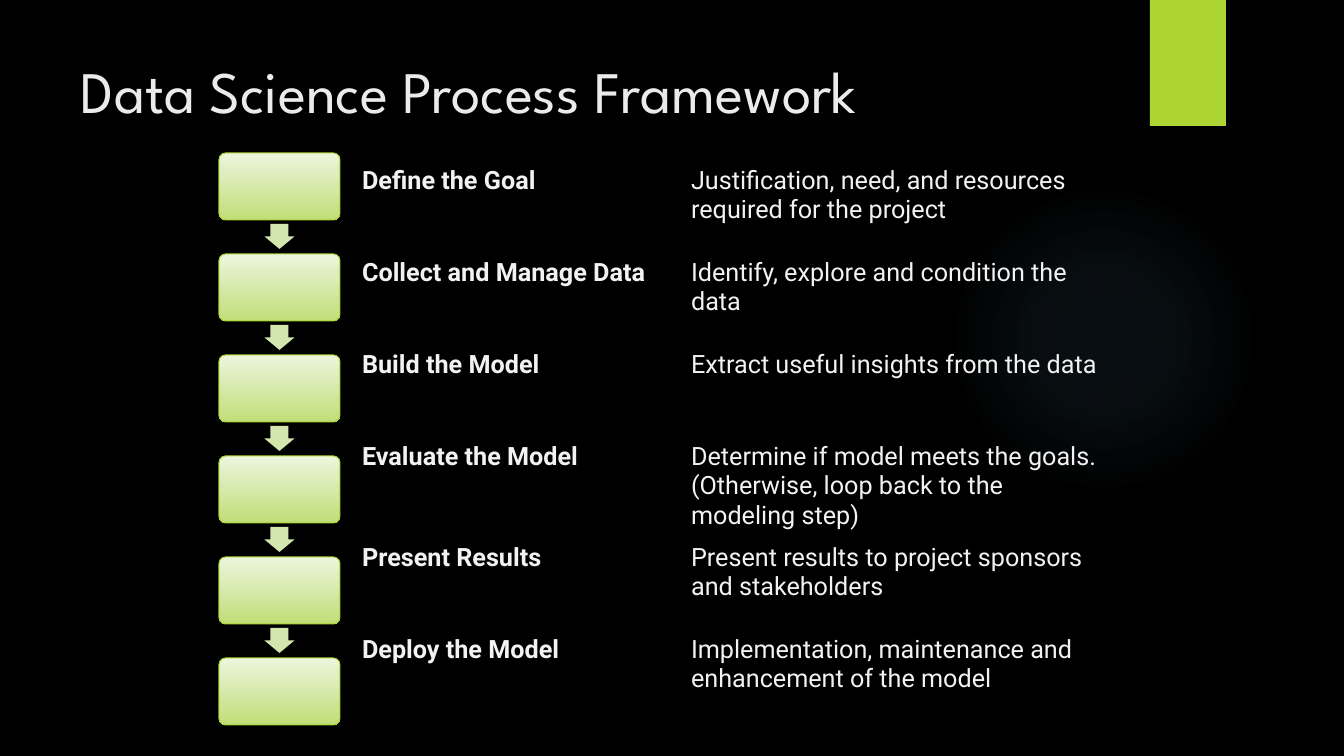
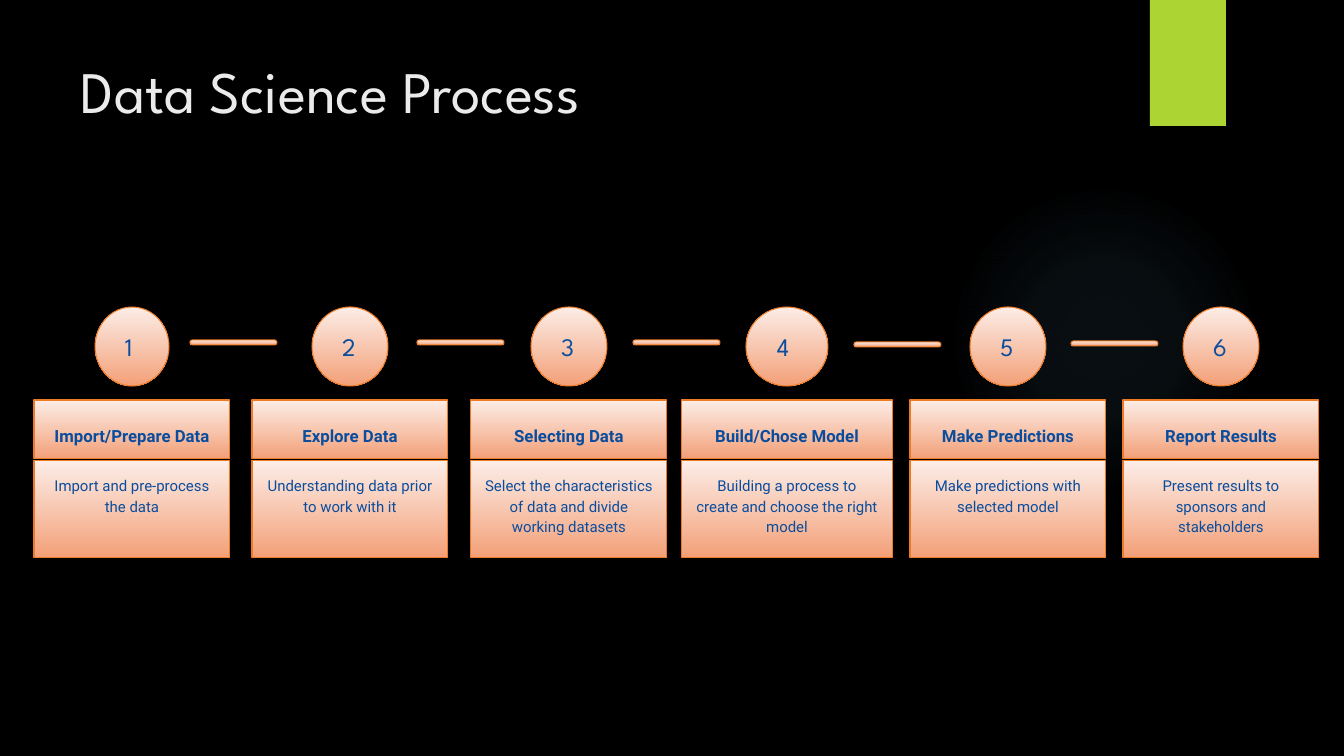
from collections import namedtuple

from lxml import etree
from pptx import Presentation
from pptx import util as u
from pptx.dml.color import RGBColor
from pptx.enum import shapes, text
from pptx.oxml import parse_xml
from pptx.oxml.ns import nsdecls, qn

SLIDE_WIDTH, SLIDE_HEIGHT = 1344, 756
EMU_PER_PX = 12192000 / SLIDE_WIDTH

BLACK = RGBColor(0x00, 0x00, 0x00)
LIME = RGBColor(0xAC, 0xD4, 0x33)
LIME_PALE = RGBColor(0xED, 0xF5, 0xDD)
LIME_SOFT = RGBColor(0xC0, 0xDE, 0x78)
LIME_ARROW = RGBColor(0xD2, 0xE6, 0xAE)
ORANGE = RGBColor(0xEF, 0x7A, 0x24)
ORANGE_PALE = RGBColor(0xFC, 0xED, 0xE7)
ORANGE_SOFT = RGBColor(0xF3, 0xA0, 0x78)
NAVY = RGBColor(0x0A, 0x4D, 0x9E)
TITLE_GREY = RGBColor(0xEB, 0xEB, 0xEB)
TABLE_GREY = RGBColor(0xF2, 0xF2, 0xF2)
GLOW_BLUE = RGBColor(0x7A, 0xC4, 0xF0)

HEADING_FONT = "League Spartan"
BODY_FONT = "Roboto"
NO_STYLE_NO_GRID = "{2D5ABB26-0587-4C30-8999-92F81FD0307C}"

Theme = namedtuple("Theme", "pale soft line")
GREEN_THEME = Theme(LIME_PALE, LIME_SOFT, LIME)
ORANGE_THEME = Theme(ORANGE_PALE, ORANGE_SOFT, ORANGE)

Step = namedtuple("Step", "centre card_width circle_width name detail")
STEPS = [
    Step(132, 196, 74, "Import/Prepare Data", "Import and pre-process the data"),
    Step(350, 196, 76, "Explore Data", "Understanding data prior to work with it"),
    Step(569, 196, 76, "Selecting Data",
         "Select the characteristics of data and divide working datasets"),
    Step(787, 211, 82, "Build/Chose Model",
         "Building a process to\ncreate and choose the right model"),
    Step(1008, 196, 76, "Make Predictions", "Make predictions with selected model"),
    Step(1221, 196, 76, "Report Results", "Present results to sponsors and stakeholders"),
]
LINKS = [(190, 340), (417, 340), (633, 340), (854, 342), (1071, 341)]

FRAMEWORK = [
    ("Define the Goal", "Justification, need, and resources required for the project"),
    ("Collect and Manage Data", "Identify, explore and condition the data"),
    ("Build the Model", "Extract useful insights from the data"),
    ("Evaluate the Model",
     "Determine if model meets the goals. (Otherwise, loop back to the modeling step)"),
    ("Present Results", "Present results to project sponsors and stakeholders"),
    ("Deploy the Model", "Implementation, maintenance and enhancement of the model"),
]
ROW_HEIGHTS = [92, 92, 92, 99, 92, 92]


def px(length):
    return u.Emu(round(length * EMU_PER_PX))


def write(frame, content, font, size, color, bold=False, align=text.PP_ALIGN.LEFT, spacing=None):
    frame.word_wrap = True
    paragraph = frame.paragraphs[0]
    paragraph.alignment = align
    if spacing:
        paragraph.line_spacing = spacing
    for index, line in enumerate(content.split("\n")):
        if index:
            paragraph.add_line_break()
        run = paragraph.add_run()
        run.text = line
        run.font.name = font
        run.font.size = u.Pt(size)
        run.font.bold = bold
        run.font.color.rgb = color


def add_flat(slide, kind, left, top, width, height, color):
    shape = slide.shapes.add_shape(kind, px(left), px(top), px(width), px(height))
    shape.shadow.inherit = False
    shape.fill.solid()
    shape.fill.fore_color.rgb = color
    shape.line.fill.background()
    return shape


def add_gradient(slide, kind, left, top, width, height, theme):
    shape = add_flat(slide, kind, left, top, width, height, theme.pale)
    shape.fill.gradient()
    shape.fill.gradient_angle = 270
    for stop, position, color in zip(shape.fill.gradient_stops, (0, 1), theme):
        stop.position = position
        stop.color.rgb = color
    shape.line.color.rgb = theme.line
    shape.line.width = u.Pt(0.75)
    return shape


def add_glow(slide, left, top, size):
    glow = add_flat(slide, shapes.MSO_SHAPE.OVAL, left, top, size, size, GLOW_BLUE)
    stops = "".join(
        f'<a:gs pos="{position * 1000}"><a:srgbClr val="{GLOW_BLUE}">'
        f'<a:alpha val="{alpha * 1000}"/></a:srgbClr></a:gs>'
        for position, alpha in ((0, 7), (36, 6), (69, 0), (100, 0)))
    gradient = parse_xml(
        f'<a:gradFill {nsdecls("a")}><a:gsLst>{stops}</a:gsLst><a:path path="circle">'
        '<a:fillToRect l="50000" t="50000" r="50000" b="50000"/></a:path></a:gradFill>')
    properties = glow.element.spPr
    properties.replace(properties.find(qn("a:solidFill")), gradient)


def add_base_slide(presentation, title):
    slide = presentation.slides.add_slide(presentation.slide_layouts[6])
    add_glow(slide, 949, 184, 310)
    add_flat(slide, shapes.MSO_SHAPE.RECTANGLE, 1150, 0, 76, 126, LIME)
    box = slide.shapes.add_textbox(px(71), px(50), px(1037), px(103))
    write(box.text_frame, title, HEADING_FONT, 42, TITLE_GREY)
    return slide


def add_framework_table(slide, left, top, column_widths):
    frame = slide.shapes.add_table(len(FRAMEWORK), 2, px(left), px(top),
                                   px(sum(column_widths)), px(sum(ROW_HEIGHTS)))
    table = frame.table
    table.first_row = table.horz_banding = False
    properties = table._tbl.tblPr
    style = properties.find(qn("a:tableStyleId"))
    if style is None:
        style = etree.SubElement(properties, qn("a:tableStyleId"))
    style.text = NO_STYLE_NO_GRID
    for column, width in zip(table.columns, column_widths):
        column.width = px(width)
    for row, height, contents in zip(table.rows, ROW_HEIGHTS, FRAMEWORK):
        row.height = px(height)
        for index, (cell, content) in enumerate(zip(row.cells, contents)):
            cell.fill.background()
            write(cell.text_frame, content, BODY_FONT, 18, TABLE_GREY, bold=index == 0)


def add_step_chain(slide, left, top, width, count):
    box_height, pitch, arrow_width = 67, 101, 30
    for index in range(count):
        box_top = top + index * pitch
        box = add_gradient(slide, shapes.MSO_SHAPE.ROUNDED_RECTANGLE,
                           left, box_top, width, box_height, GREEN_THEME)
        box.adjustments[0] = 0.1
        if index < count - 1:
            arrow = add_flat(slide, shapes.MSO_SHAPE.DOWN_ARROW,
                             left + (width - arrow_width) / 2, box_top + box_height + 4,
                             arrow_width, 25, LIME_ARROW)
            arrow.adjustments[0] = 0.6
            arrow.adjustments[1] = 0.5


def add_step_part(slide, kind, centre, top, width, height, anchor, left_inset=13):
    shape = add_gradient(slide, kind, centre - width / 2, top, width, height, ORANGE_THEME)
    frame = shape.text_frame
    frame.margin_left = px(left_inset)
    frame.margin_right = frame.margin_top = frame.margin_bottom = px(13)
    frame.vertical_anchor = anchor
    return frame


def add_step_card(slide, top, number, step):
    rectangle = shapes.MSO_SHAPE.RECTANGLE
    centred = text.PP_ALIGN.CENTER
    circle = add_step_part(slide, shapes.MSO_SHAPE.OVAL, step.centre, top,
                           step.circle_width, 79, text.MSO_ANCHOR.MIDDLE, left_inset=19)
    write(circle, str(number), HEADING_FONT, 18, NAVY)
    heading = add_step_part(slide, rectangle, step.centre, top + 93,
                            step.card_width, 59, text.MSO_ANCHOR.BOTTOM)
    write(heading, step.name, BODY_FONT, 12, NAVY, True, centred, 1.15)
    body = add_step_part(slide, rectangle, step.centre, top + 154,
                         step.card_width, 97, text.MSO_ANCHOR.TOP)
    write(body, step.detail, BODY_FONT, 10.7, NAVY, False, centred, 1.15)


def build_framework_slide(presentation):
    slide = add_base_slide(presentation, "Data Science Process Framework")
    add_framework_table(slide, 352, 161, (329, 442))
    add_step_chain(slide, 219, 153, 121, len(FRAMEWORK))


def build_process_slide(presentation):
    slide = add_base_slide(presentation, "Data Science Process")
    for left, top in LINKS:
        link = add_gradient(slide, shapes.MSO_SHAPE.ROUNDED_RECTANGLE,
                            left, top, 87, 5, ORANGE_THEME)
        link.adjustments[0] = 0.5
    for number, step in enumerate(STEPS, 1):
        add_step_card(slide, 307, number, step)


def main():
    presentation = Presentation()
    presentation.slide_width = px(SLIDE_WIDTH)
    presentation.slide_height = px(SLIDE_HEIGHT)
    background = presentation.slide_master.background.fill
    background.solid()
    background.fore_color.rgb = BLACK
    build_framework_slide(presentation)
    build_process_slide(presentation)
    presentation.save("out.pptx")


if __name__ == "__main__":
    main()
